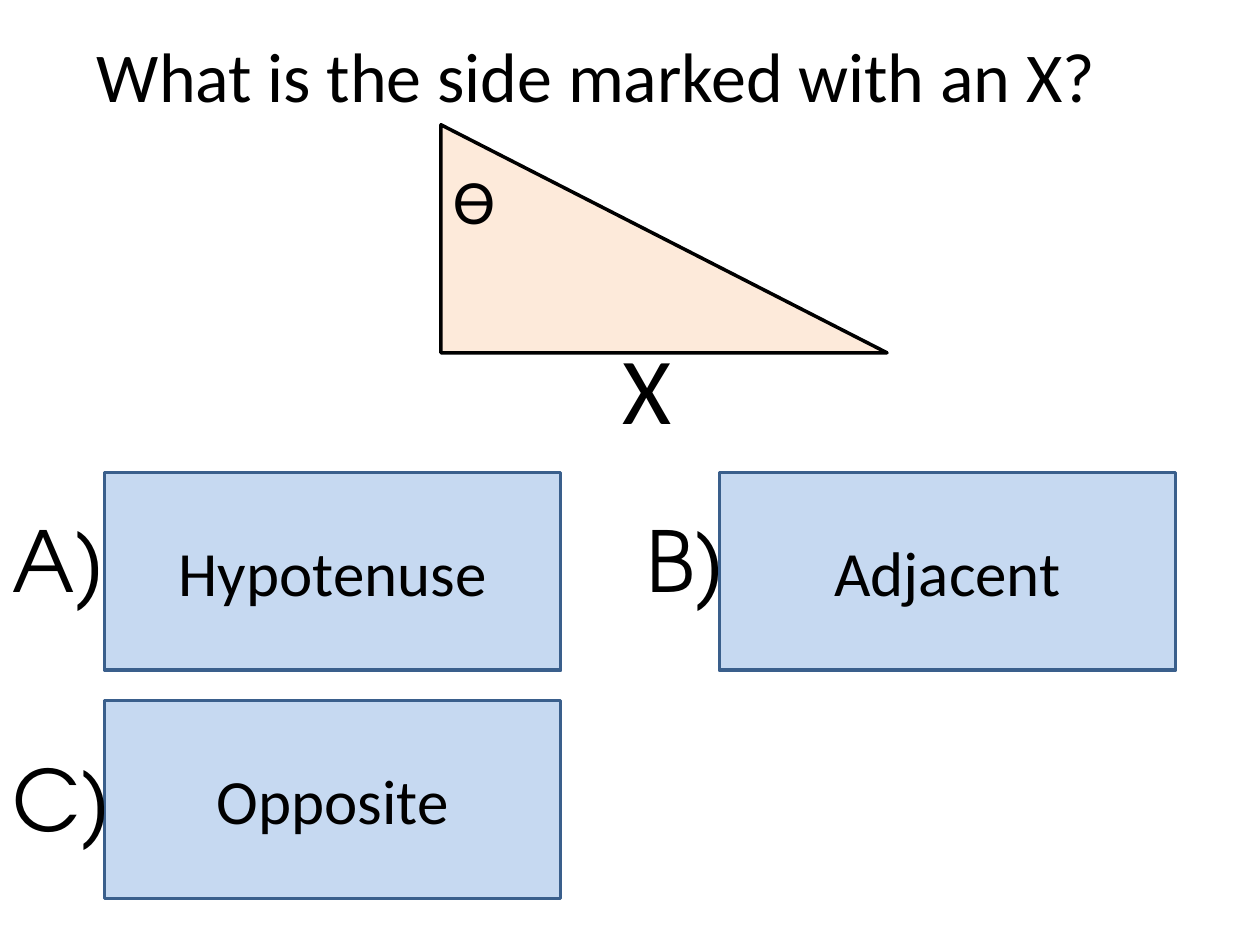
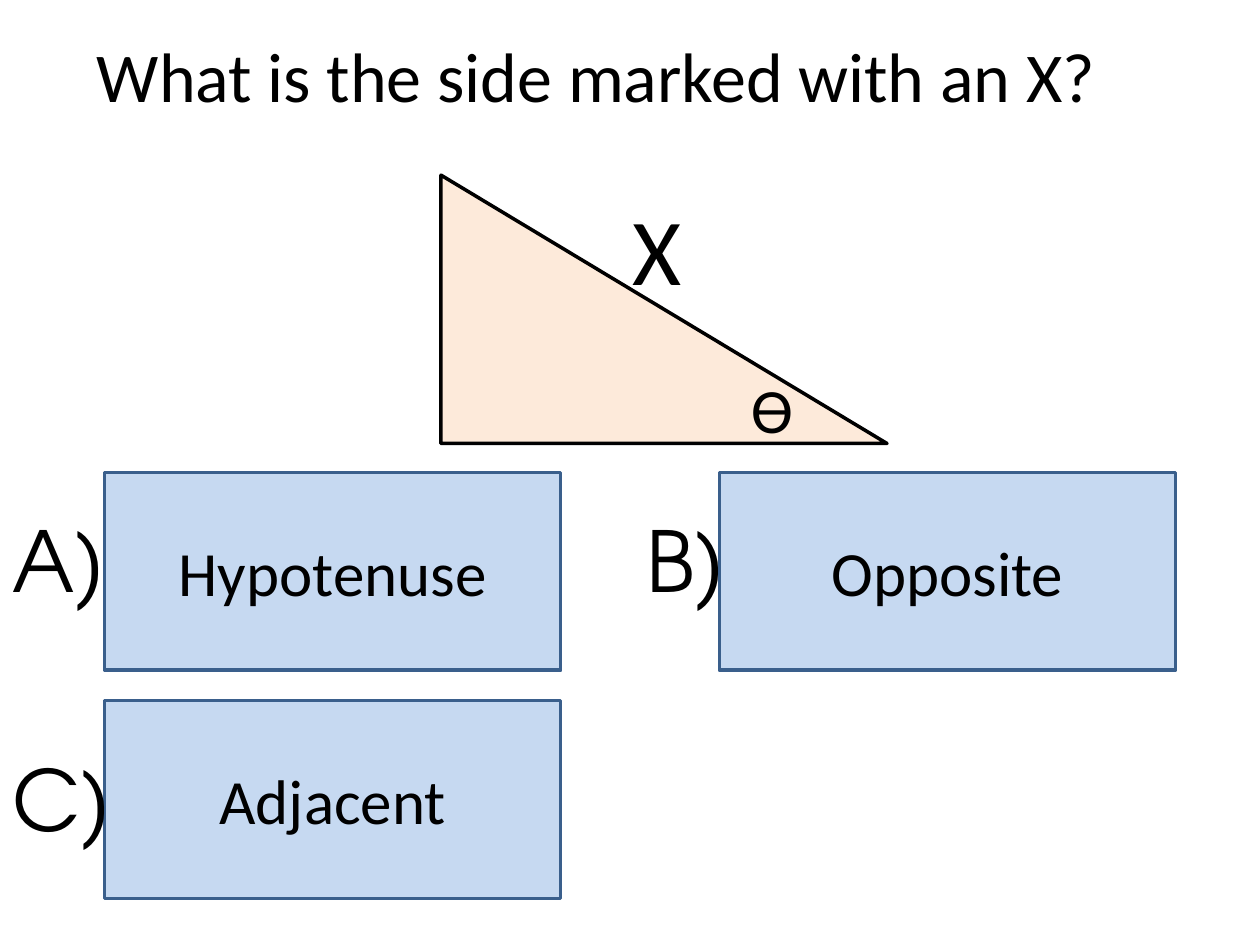
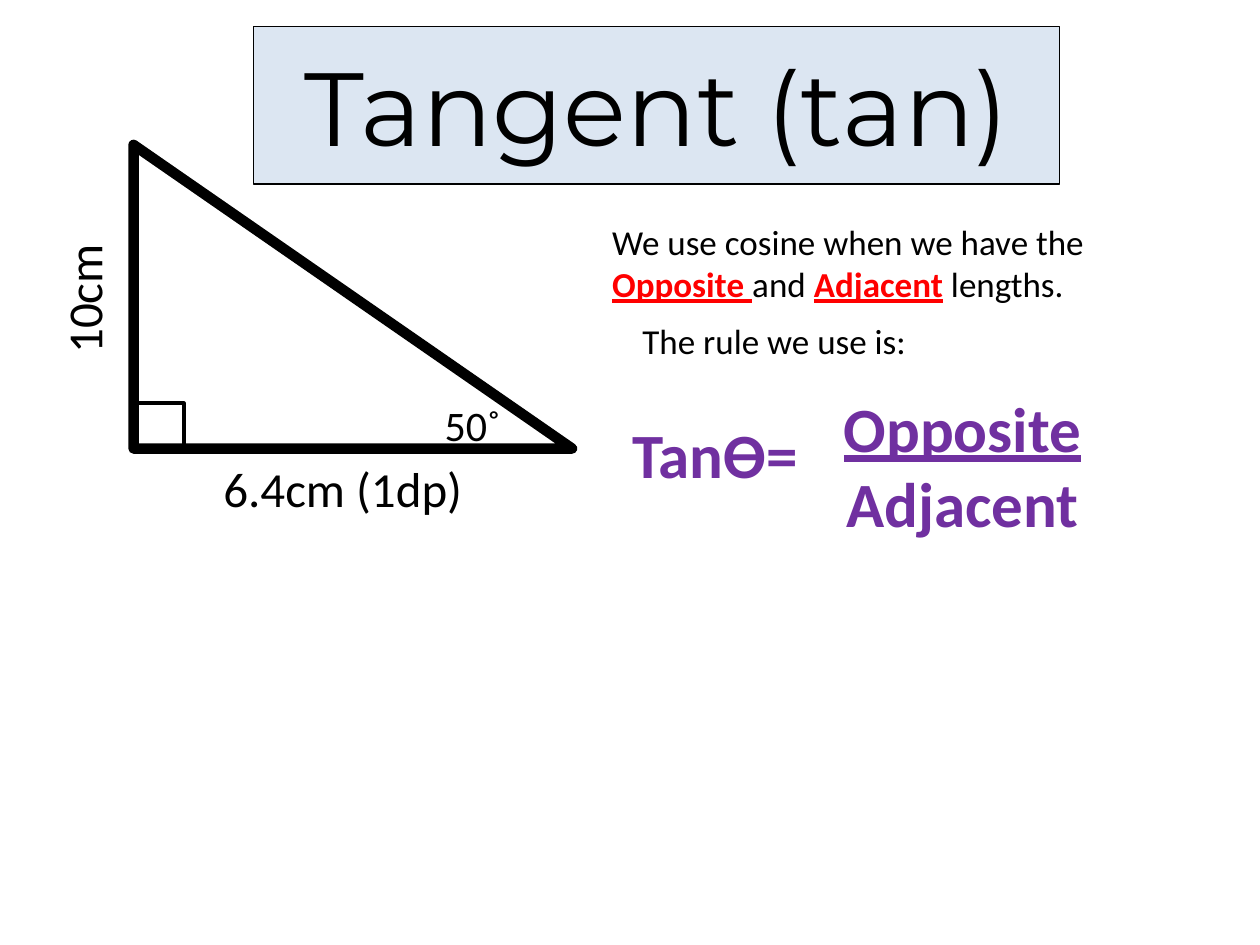
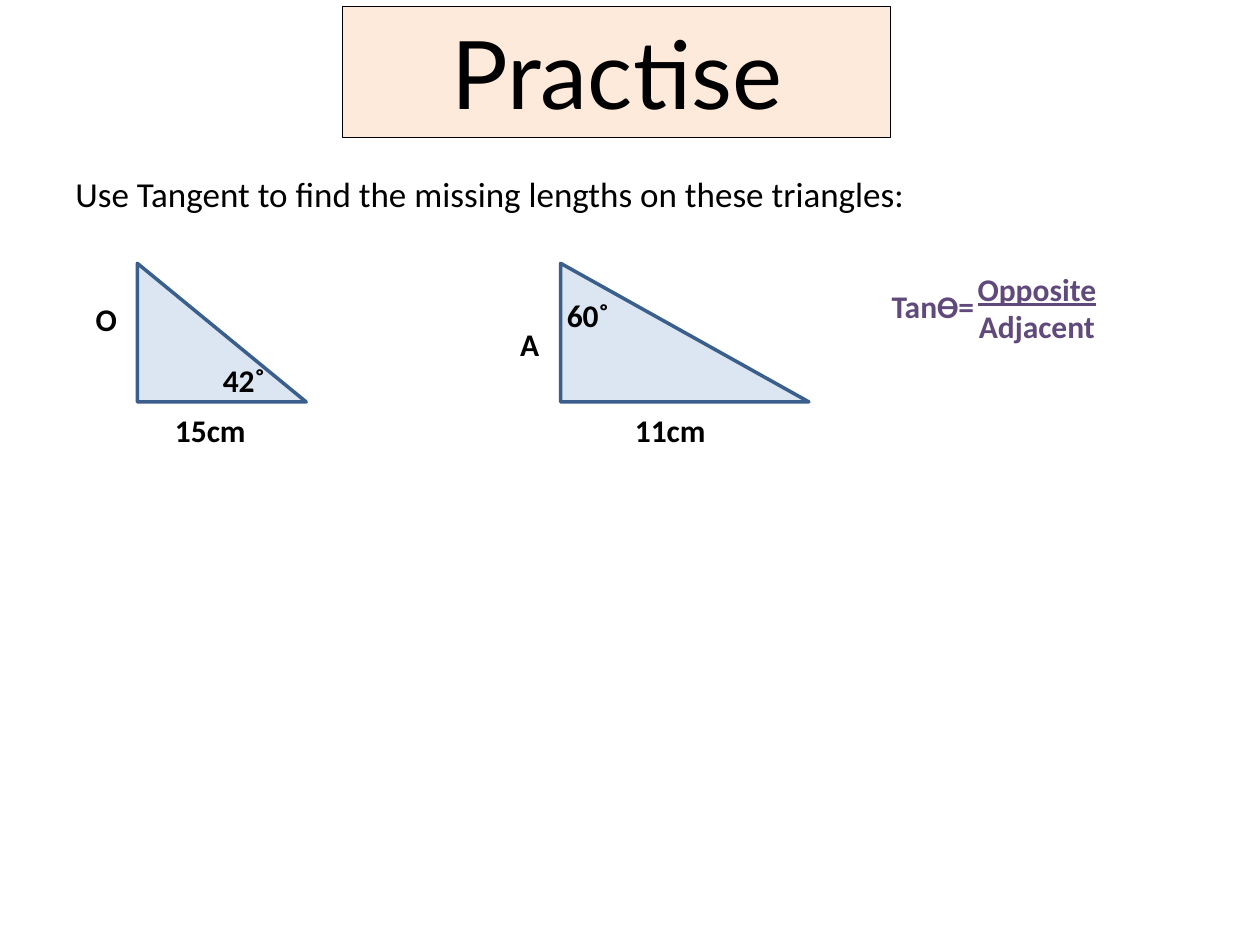
from pptx import Presentation
from pptx.dml.color import RGBColor
from pptx.enum import shapes, text
from pptx.util import Inches, Pt

BLACK = RGBColor(0x00, 0x00, 0x00)
RED = RGBColor(0xFF, 0x00, 0x00)
PURPLE = RGBColor(0x70, 0x30, 0xA0)
PLUM = RGBColor(0x60, 0x4A, 0x7B)
NAVY = RGBColor(0x3A, 0x5F, 0x8C)
SKY = RGBColor(0xC6, 0xD9, 0xF1)
PALE = RGBColor(0xDC, 0xE6, 0xF2)
PEACH = RGBColor(0xFD, 0xEA, 0xDA)

BODY = "Calibri"
LETTER = "TeX Gyre Adventor"
RECT = shapes.MSO_SHAPE.RECTANGLE
TRI = shapes.MSO_SHAPE.RIGHT_TRIANGLE
LEFT = text.PP_ALIGN.LEFT
MID = text.PP_ALIGN.CENTER
RIGHT = text.PP_ALIGN.RIGHT


def style(run, size, color=BLACK, face=BODY, bold=False, under=False):
    font = run.font
    font.name, font.size = face, Pt(size)
    font.bold, font.underline = bold, under
    font.color.rgb = color


def shape(slide, kind, box, fill=None, line=BLACK, width=2):
    item = slide.shapes.add_shape(kind, *map(Inches, box))
    item.shadow.inherit = False
    if fill is None:
        item.fill.background()
    else:
        item.fill.solid()
        item.fill.fore_color.rgb = fill
    item.line.color.rgb = line
    item.line.width = Pt(width)
    return item


def panel(slide, box, words, size, fill, line, width, face=BODY):
    """Draw a filled rectangle with centred words."""
    item = shape(slide, RECT, box, fill, line, width)
    frame = item.text_frame
    frame.word_wrap = True
    frame.vertical_anchor = text.MSO_ANCHOR.MIDDLE
    frame.text = words
    para = frame.paragraphs[0]
    para.alignment = MID
    style(para.runs[0], size, face=face)


def label(slide, box, words, size, wrap=False, align=LEFT, **look):
    item = slide.shapes.add_textbox(*map(Inches, box))
    frame = item.text_frame
    frame.word_wrap = wrap
    frame.auto_size = text.MSO_AUTO_SIZE.SHAPE_TO_FIT_TEXT
    frame.text = words
    for para in frame.paragraphs:
        para.alignment = align
        for run in para.runs:
            style(run, size, **look)
    return item


def title(slide, box, words, size, fill, face):
    panel(slide, box, words, size, fill, BLACK, 0.75, face)


def answers(slide, left, top, names):
    """Place lettered answers in two columns, row by row."""
    wide, high = 3.62, 1.57
    marks = [("A)", -0.83, 0.24, 0.95), ("B)", -0.68, 0.24, 0.84),
             ("C)", -0.83, 0.32, 1)]
    for i, (name, (mark, dx, dy, span)) in enumerate(zip(names, marks)):
        x, y = left + i % 2 * 4.88, top + i // 2 * 1.81
        panel(slide, (x, y, wide, high), name, 36, SKY, NAVY, 2)
        label(slide, (x + dx, y + dy, span, 0.91), mark, 48, face=LETTER)


def quiz(slide, top, high, angle, cross, names):
    """Ask for a side; angle and cross are offsets from the triangle."""
    left = 3.5
    answers(slide, 0.83, 3.75, names)
    shape(slide, TRI, (left, top, 3.54, high), PEACH)
    label(slide, (left + angle[0], top + angle[1], 0.54, 0.71), "ϴ", 36)
    label(slide, (left + cross[0], top + cross[1], 0.59, 1.01), "X", 54)
    label(slide, (0.67, 0.21, 8.58, 0.77),
          "What is the side marked with an X?", 40, wrap=True)


def rule(slide, left, top, shift, rise, size, color, align=LEFT):
    """Write the tangent rule; the fraction is set off by shift and rise."""
    high = size / 50
    label(slide, (left, top, 1.57, high), "Tanϴ=", size, True, align,
          color=color, bold=True)
    part = label(slide, (left + shift, top - rise, 2.76, 2 * high),
                 "Opposite\nAdjacent", size, True, MID, color=color, bold=True)
    part.text_frame.paragraphs[0].runs[0].font.underline = True


def figure(slide, left, top, wide, high):
    """Draw the worked triangle with its lengths and angles."""
    base = top + high
    shape(slide, TRI, (left, top, wide, high), width=6)
    shape(slide, RECT, (left, base - 0.36, 0.4, 0.36))
    label(slide, (left + 2.37, base - 0.44, 0.65, 0.5), "50˚", 24)
    label(slide, (left + 0.32, base + 0.03, 2.68, 0.57), "6.4cm (1dp)", 28,
          True, MID)
    side = label(slide, (left - 0.94, top + 0.93, 1.08, 0.57), "10cm", 28)
    side.rotation = 270


def lesson(slide):
    title(slide, (2.01, 0.21, 6.4, 1.25), "Tangent (tan)", 59.4, PALE,
          "Montserrat")
    figure(slide, 1.06, 1.15, 3.48, 2.41)
    note = label(slide, (4.76, 1.7, 4.8, 0.77), "", 20, wrap=True)
    para = note.text_frame.paragraphs[0]
    for words, key in [("We use cosine when we have the ", False),
                       ("Opposite ", True), ("and ", False),
                       ("Adjacent", True), (" lengths.", False)]:
        run = para.add_run()
        run.text = words
        style(run, 20, RED if key else BLACK, bold=key, under=key)
    label(slide, (5, 2.49, 4.57, 0.44), "The rule we use is:", 20, wrap=True)
    rule(slide, 4.92, 3.25, 1.34, 0.21, 36, PURPLE)


def task(slide, left, wide, side, base, angle):
    """Draw one exercise; each label is its words, offset and width."""
    top = 2.09
    shape(slide, TRI, (left, top, wide, 1.1), PALE, NAVY)
    for words, dx, dy, span in (side, base, angle):
        label(slide, (left + dx, top + dy, span, 0.4), words, 18,
              wrap=len(words) == 1, bold=True)


def practice(slide):
    title(slide, (2.72, 0.05, 4.35, 1.04), "Practise", 54, PEACH, "Lato")
    label(slide, (0.5, 1.32, 9, 0.44),
          "Use Tangent to find the missing lengths on these triangles:", 20,
          wrap=True)
    task(slide, 1.09, 1.34, ("O", -0.43, 0.24, 0.25),
         ("15cm", 0.2, 1.12, 0.77), ("42˚", 0.58, 0.73, 0.54))
    task(slide, 4.45, 1.97, ("A", -0.42, 0.44, 0.28),
         ("11cm", 0.49, 1.12, 0.77), ("60˚", -0.05, 0.21, 0.54))
    rule(slide, 6.26, 2.23, 0.59, 0.14, 18, PLUM, RIGHT)


def main():
    deck = Presentation()
    deck.slide_width, deck.slide_height = Inches(10), Inches(7.5)

    def blank():
        return deck.slides.add_slide(deck.slide_layouts[6])

    quiz(blank(), 0.99, 1.81, (0, 0.24), (1.34, 1.58),
         ["Hypotenuse", "Adjacent", "Opposite"])
    quiz(blank(), 1.39, 2.13, (2.37, 1.5), (1.42, 0.08),
         ["Hypotenuse", "Opposite", "Adjacent"])
    lesson(blank())
    practice(blank())
    deck.save("out.pptx")


if __name__ == "__main__":
    main()
